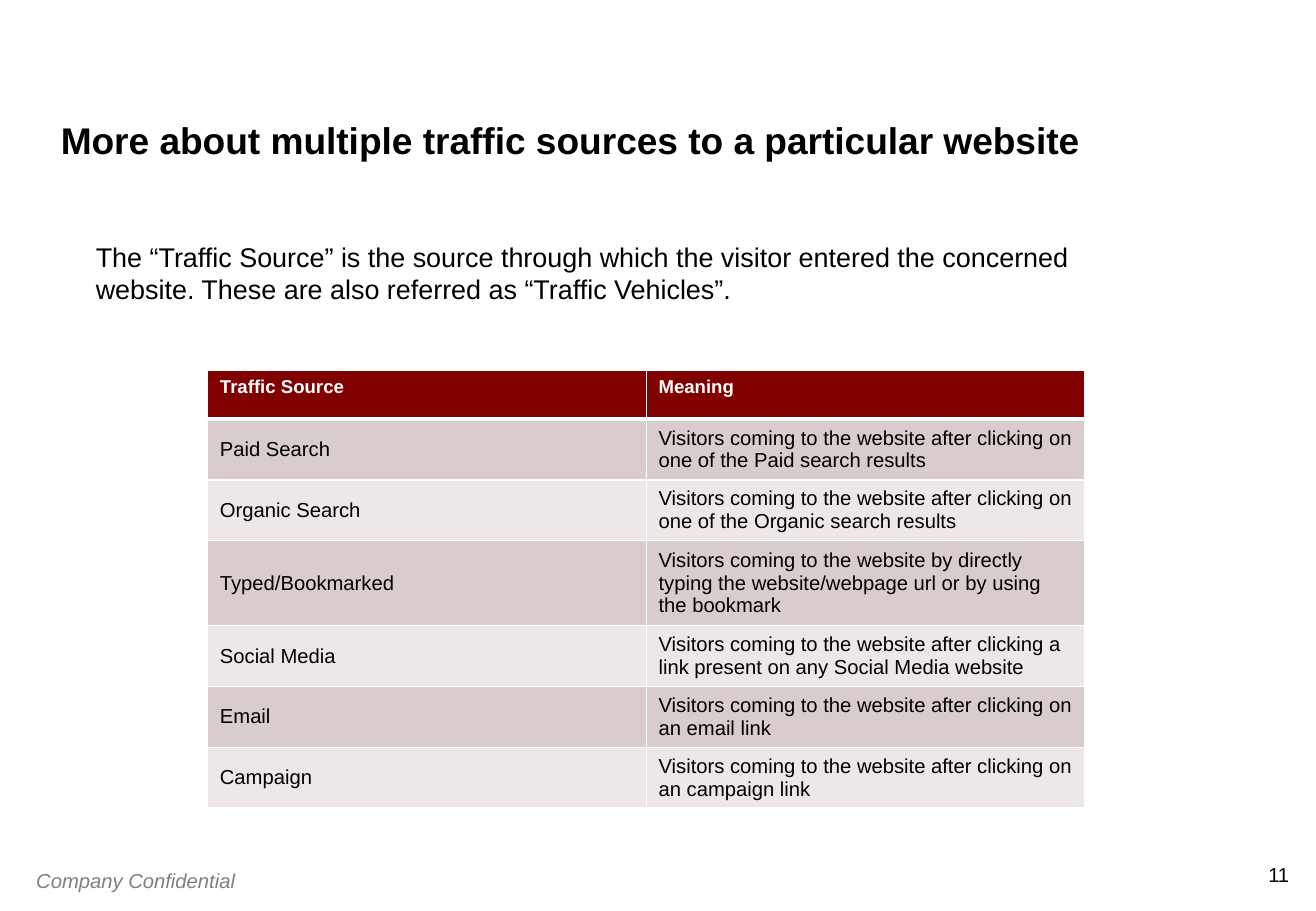
from lxml import etree
from pptx import Presentation
from pptx.dml.color import RGBColor
from pptx.enum import text
from pptx.oxml import ns
from pptx.util import Inches, Pt

BLACK = RGBColor(0x00, 0x00, 0x00)
WHITE = RGBColor(0xFF, 0xFF, 0xFF)
GREY = RGBColor(0x80, 0x80, 0x80)
MAROON = RGBColor(0x80, 0x00, 0x00)
BANDS = [RGBColor(0xED, 0xE7, 0xE7), RGBColor(0xD8, 0xCC, 0xCC)]


def write(frame, words, size, color, bold=False, italic=False, align=text.PP_ALIGN.LEFT):
    frame.text = words
    frame.word_wrap = True
    paragraph = frame.paragraphs[0]
    paragraph.alignment = align
    font = paragraph.runs[0].font
    font.name = "Arial"
    font.size = Pt(size)
    font.bold = bold
    font.italic = italic
    font.color.rgb = color


def add_border(cell, side, points):
    line = etree.SubElement(cell._tc.get_or_add_tcPr(), ns.qn(f"a:{side}"), w=str(Pt(points)))
    fill = etree.SubElement(line, ns.qn("a:solidFill"))
    etree.SubElement(fill, ns.qn("a:srgbClr"), val=str(WHITE))


deck = Presentation()
deck.slide_width = Inches(10.83)
deck.slide_height = Inches(7.5)
slide = deck.slides.add_slide(deck.slide_layouts[5])

title = slide.shapes.title
title.left, title.top = Inches(0.5), Inches(0.42)
title.width, title.height = Inches(9.83), Inches(0.92)
heading = title.text_frame
write(heading, "More about multiple traffic sources to a particular website", 22, BLACK, bold=True)
heading.auto_size = text.MSO_AUTO_SIZE.NONE
heading.vertical_anchor = text.MSO_ANCHOR.BOTTOM
heading.margin_left = heading.margin_right = heading.margin_top = heading.margin_bottom = 0
heading.paragraphs[0].line_spacing = 0.9

definition = slide.shapes.add_textbox(Inches(0.69), Inches(1.93), Inches(8.4), Inches(0.64))
write(definition.text_frame,
      "The “Traffic Source” is the source through which the visitor entered the concerned "
      "website. These are also referred as “Traffic Vehicles”.", 16, BLACK)

sources = [
    ("Traffic Source", "Meaning"),
    ("Paid Search", "Visitors coming to the website after clicking on one of the Paid search results"),
    ("Organic Search", "Visitors coming to the website after clicking on one of the Organic search results"),
    ("Typed/Bookmarked", "Visitors coming to the website by directly typing the website/webpage url "
                         "or by using the bookmark"),
    ("Social Media", "Visitors coming to the website after clicking a link present on any Social Media website"),
    ("Email", "Visitors coming to the website after clicking on an email link"),
    ("Campaign", "Visitors coming to the website after clicking on an campaign link"),
]
heights = [0.4, 0.47, 0.47, 0.66, 0.47, 0.47, 0.47]
meanings = slide.shapes.add_table(len(sources), 2, Inches(1.71), Inches(3.05),
                                  Inches(7.22), Inches(sum(heights))).table
for row, (entry, height) in enumerate(zip(sources, heights)):
    meanings.rows[row].height = Inches(height)
    header = row == 0
    for column, words in enumerate(entry):
        cell = meanings.cell(row, column)
        for side in ("lnL", "lnR", "lnT", "lnB"):
            under_header = (row, side) in ((0, "lnB"), (1, "lnT"))
            add_border(cell, side, 3 if under_header else 1)
        cell.fill.solid()
        cell.fill.fore_color.rgb = MAROON if header else BANDS[row % 2]
        cell.vertical_anchor = text.MSO_ANCHOR.TOP if header else text.MSO_ANCHOR.MIDDLE
        write(cell.text_frame, words, 11 if header else 12, WHITE if header else BLACK, bold=header)

confidential = slide.shapes.add_textbox(Inches(0.2), Inches(7.1), Inches(2.2), Inches(0.3))
write(confidential.text_frame, "Company Confidential", 12, GREY, italic=True)

page = slide.shapes.add_textbox(Inches(10.4), Inches(7.1), Inches(0.21), Inches(0.2))
write(page.text_frame, "11", 12, BLACK, align=text.PP_ALIGN.RIGHT)
page.text_frame.word_wrap = False
page.text_frame.margin_left = page.text_frame.margin_right = 0
page.text_frame.margin_top = page.text_frame.margin_bottom = 0

deck.save("out.pptx")
